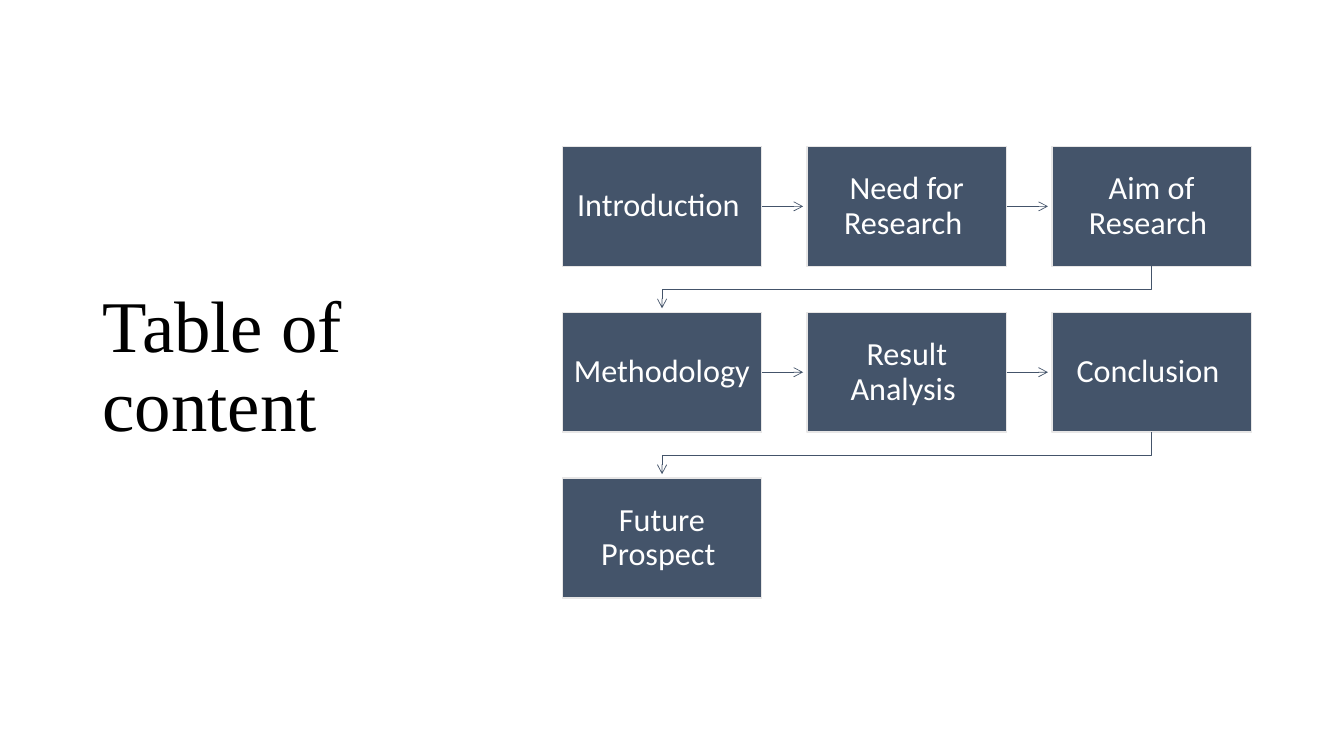
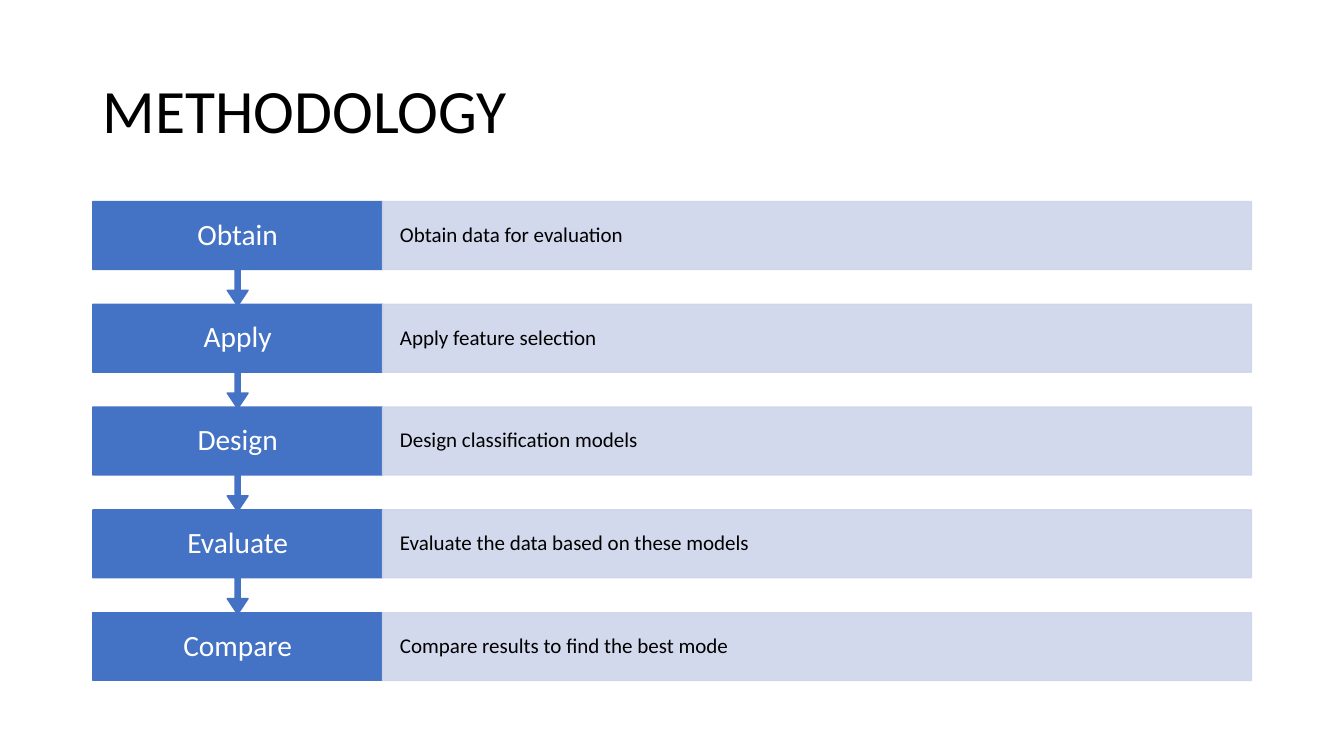
"""Builds a table of contents slide and a methodology slide."""
from lxml.etree import SubElement
from pptx import Presentation
from pptx.dml.color import RGBColor
from pptx.enum.shapes import MSO_CONNECTOR, MSO_SHAPE
from pptx.enum.text import MSO_ANCHOR as ANCHOR, PP_ALIGN as ALIGN
from pptx.oxml.ns import qn
from pptx.util import Cm, Pt

BLACK = RGBColor(0x00, 0x00, 0x00)
WHITE = RGBColor(0xFF, 0xFF, 0xFF)
SLATE = RGBColor(0x44, 0x54, 0x6A)
PALE_GREY = RGBColor(0xE7, 0xE6, 0xE6)
BLUE = RGBColor(0x44, 0x72, 0xC4)
PALE_BLUE = RGBColor(0xCF, 0xD5, 0xEA)
MARGIN = 2.34


def write(shape, text, size, color, align=ALIGN.LEFT, insets=(0.25, 0.13), font="Calibri"):
    frame = shape.text_frame
    frame.word_wrap = True
    frame.vertical_anchor = ANCHOR.MIDDLE
    frame.margin_left = frame.margin_right = Cm(insets[0])
    frame.margin_top = frame.margin_bottom = Cm(insets[1])
    paragraph = frame.paragraphs[0]
    paragraph.alignment = align
    paragraph.line_spacing = 0.9
    run = paragraph.add_run()
    run.text = text
    run.font.size = Pt(size)
    run.font.name = font
    run.font.color.rgb = color


def add_box(slide, preset, left, top, width, height, fill, line):
    shape = slide.shapes.add_shape(preset, Cm(left), Cm(top), Cm(width), Cm(height))
    shape.shadow.inherit = False
    shape.fill.solid()
    shape.fill.fore_color.rgb = fill
    shape.line.color.rgb = line
    shape.line.width = Pt(1)
    return shape


presentation = Presentation()
presentation.slide_width = Cm(33.87)
presentation.slide_height = Cm(19.05)
blank = presentation.slide_layouts[6]

contents = presentation.slides.add_slide(blank)
title = contents.shapes.add_textbox(Cm(MARGIN), Cm(1.55), Cm(9.37), Cm(15.47))
write(title, "Table of content", 52, BLACK, font="Times New Roman")

TOPICS = ["Introduction ", "Need for Research ", "Aim of Research ", "Methodology ",
          "Result Analysis ", "Conclusion ", "Future Prospect "]
COLUMNS = 3
BOX_WIDTH, BOX_HEIGHT = 5.03, 3.02
GRID_LEFT, GRID_TOP = 14.17, 3.69
STEP_X, STEP_Y = 6.17, 4.18
ARROW_GAP = 0.1

for index, topic in enumerate(TOPICS):
    row, column = divmod(index, COLUMNS)
    left, top = GRID_LEFT + column * STEP_X, GRID_TOP + row * STEP_Y
    box = add_box(contents, MSO_SHAPE.RECTANGLE, left, top, BOX_WIDTH, BOX_HEIGHT, SLATE, PALE_GREY)
    write(box, topic, 23, WHITE, ALIGN.CENTER, (0.25, 0.25))
    if index == len(TOPICS) - 1:
        continue
    if column < COLUMNS - 1:
        middle = Cm(top + BOX_HEIGHT / 2)
        arrow = contents.shapes.add_connector(
            MSO_CONNECTOR.STRAIGHT, Cm(left + BOX_WIDTH), middle, Cm(left + STEP_X - ARROW_GAP), middle)
        arrow.begin_connect(box, 3)
        SubElement(arrow._element.spPr, qn("a:effectLst"))
    else:
        start_x, end_x = Cm(left + BOX_WIDTH / 2), Cm(GRID_LEFT + BOX_WIDTH / 2)
        turn_y = Cm(top + (BOX_HEIGHT + STEP_Y) / 2)
        builder = contents.shapes.build_freeform(start_x, Cm(top + BOX_HEIGHT))
        builder.add_line_segments(
            [(start_x, turn_y), (end_x, turn_y), (end_x, Cm(top + STEP_Y - ARROW_GAP))], close=False)
        arrow = builder.convert_to_shape()
        arrow.fill.background()
        arrow.shadow.inherit = False
    arrow.line.color.rgb = SLATE
    arrow.line.width = Pt(0.5)
    SubElement(arrow._element.spPr.find(qn("a:ln")), qn("a:tailEnd"), type="arrow")

methodology = presentation.slides.add_slide(blank)
title = methodology.shapes.add_textbox(Cm(MARGIN), Cm(1.02), Cm(29.21), Cm(3.68))
write(title, "METHODOLOGY", 44, BLACK)

STEPS = [
    ("Obtain", "Obtain data for evaluation"),
    ("Apply", "Apply feature selection"),
    ("Design", "Design classification models"),
    ("Evaluate", "Evaluate the data based on these models"),
    ("Compare", "Compare results to find the best mode"),
]
STEPS_TOP, STEP_PITCH = 5.08, 2.59
STEP_WIDTH, STEP_HEIGHT, CALLOUT_HEIGHT = 7.3, 1.71, 2.63
DETAIL_WIDTH = 21.9

for index, (name, detail) in reversed(list(enumerate(STEPS))):
    top = STEPS_TOP + index * STEP_PITCH
    if index == len(STEPS) - 1:
        step = add_box(methodology, MSO_SHAPE.RECTANGLE, MARGIN, top, STEP_WIDTH, STEP_HEIGHT, BLUE, BLUE)
    else:
        step = add_box(methodology, MSO_SHAPE.DOWN_ARROW_CALLOUT, MARGIN, top,
                       STEP_WIDTH, CALLOUT_HEIGHT, BLUE, BLUE)
        for position, value in enumerate((0.05, 0.1, 0.15, 0.65)):
            step.adjustments[position] = value
    write(step, name, 21, WHITE, ALIGN.CENTER, (0.52, 0.41))

    band = add_box(methodology, MSO_SHAPE.RECTANGLE, MARGIN + STEP_WIDTH, top,
                   DETAIL_WIDTH, STEP_HEIGHT, PALE_BLUE, PALE_BLUE)
    for color in band._element.spPr.iter(qn("a:srgbClr")):
        SubElement(color, qn("a:alpha"), val="90000")
    write(band, detail, 15, BLACK, insets=(0.44, 0.54))

presentation.save("out.pptx")
